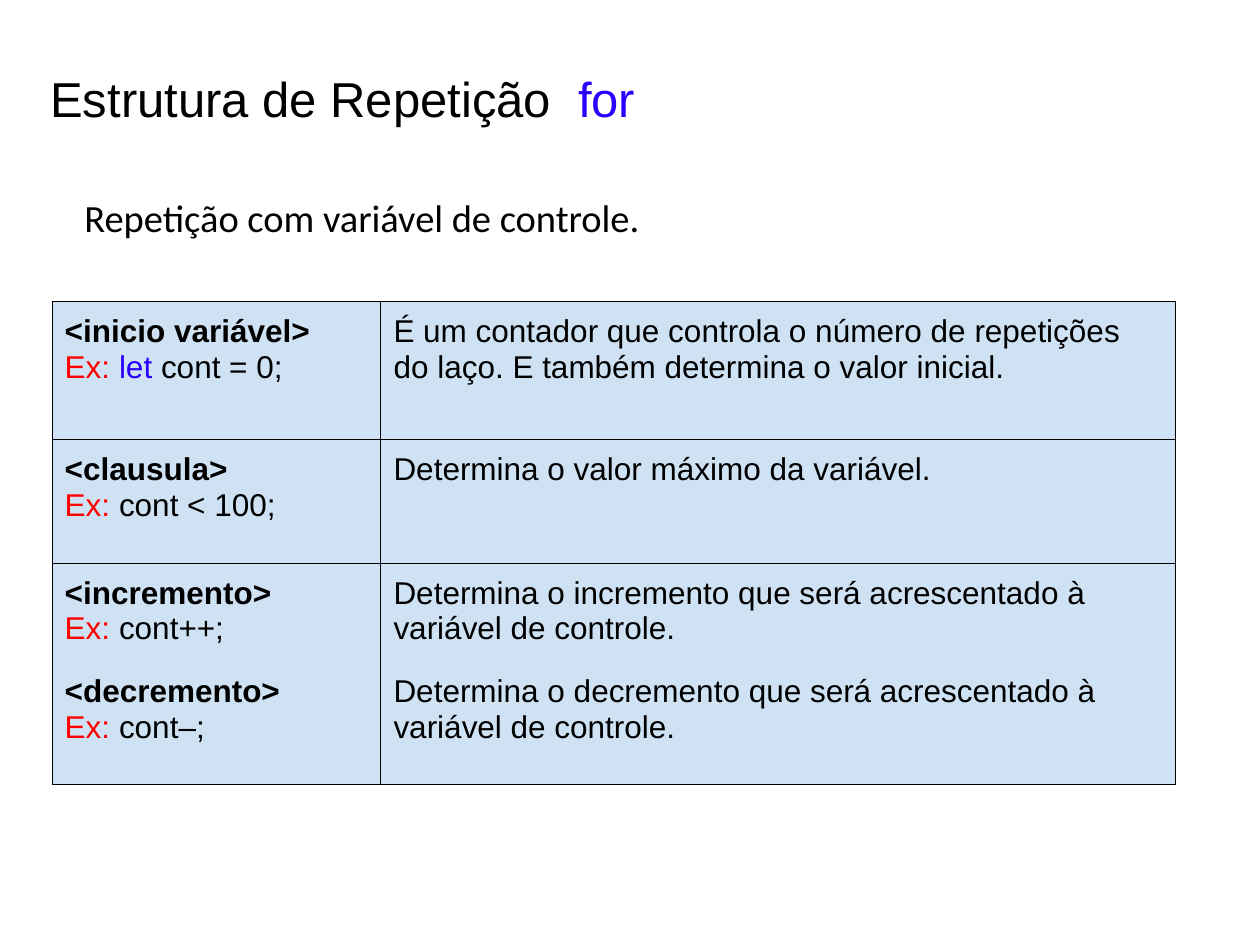
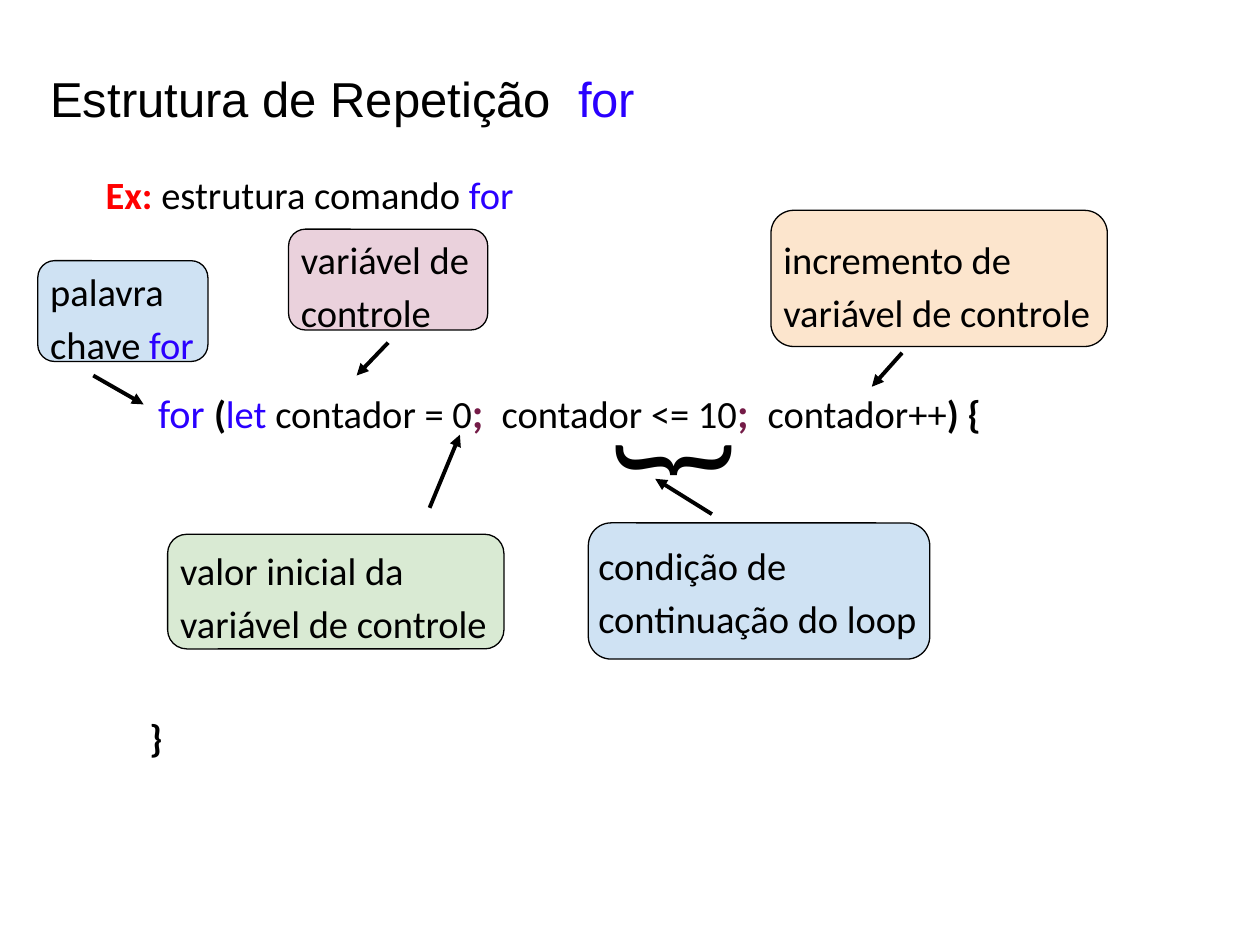
import pptx
import pptx.util
import pptx.dml.color
import pptx.enum.shapes
import pptx.enum.text
import pptx.oxml
import pptx.oxml.ns
from dataclasses import dataclass
from lxml import etree

Pt = pptx.util.Pt
qn = pptx.oxml.ns.qn


@dataclass(frozen=True)
class Theme:
    black: str = "000000"
    keyword: str = "2A00FF"
    example: str = "FF0000"
    separator: str = "741B47"
    blue: str = "CFE2F3"
    green: str = "D9EAD3"
    orange: str = "FCE5CD"
    pink: str = "EAD1DC"
    title_font: str = "Arial"
    body_font: str = "Calibri"
    title_size: float = 28
    body_size: float = 22
    cell_size: float = 18
    brace_size: float = 77
    spacing: float = 1.15
    thin: float = 0.75
    thick: float = 2.25


T = Theme()


def rgb(value):
    return pptx.dml.color.RGBColor.from_string(value)


# Text helpers: a run is (text, colour, bold, size), the last three optional
def add_run(p, font, base_size, text, color=T.black, bold=False, size=None):
    r = p.add_run()
    r.text = text
    r.font.name = font
    r.font.size = Pt(size or base_size)
    r.font.bold = bold
    r.font.color.rgb = rgb(color)


def fill_text(tf, paragraphs, font, size, spacing=1.0):
    for i, runs in enumerate(paragraphs):
        p = tf.paragraphs[0] if i == 0 else tf.add_paragraph()
        p.line_spacing = spacing
        for run in runs:
            add_run(p, font, size, *run)


def set_insets(tf, across, down):
    tf.margin_left = tf.margin_right = Pt(across)
    tf.margin_top = tf.margin_bottom = Pt(down)


def add_text(s, box, paragraphs, size=T.body_size, inset=7.2, grow=False):
    sp = s.shapes.add_textbox(*map(Pt, box))
    tf = sp.text_frame
    tf.word_wrap = True
    set_insets(tf, 7.2, inset)
    if grow:
        tf.auto_size = pptx.enum.text.MSO_AUTO_SIZE.SHAPE_TO_FIT_TEXT
    fill_text(tf, paragraphs, T.body_font, size, T.spacing)
    return sp


# Shared slide with its title
def add_titled_slide(prs):
    s = prs.slides.add_slide(prs.slide_layouts[5])
    sp = s.shapes.title
    sp.left, sp.top, sp.width, sp.height = map(Pt, (21.6, 13, 636.5, 86.4))
    tf = sp.text_frame
    tf.auto_size = pptx.enum.text.MSO_AUTO_SIZE.NONE
    tf.vertical_anchor = pptx.enum.text.MSO_ANCHOR.MIDDLE
    set_insets(tf, 7.2, 3.6)
    fill_text(tf, [[("Estrutura de Repetição  ",), ("for", T.keyword)]],
              T.title_font, T.title_size)
    tf.paragraphs[0].alignment = pptx.enum.text.PP_ALIGN.LEFT
    return s


# Table of the parts of the command
def border_cell(cell):
    props = cell._tc.get_or_add_tcPr()
    for i, side in enumerate(("lnL", "lnR", "lnT", "lnB")):
        ln = etree.Element(qn("a:" + side), w=str(Pt(T.thin)))
        solid = etree.SubElement(ln, qn("a:solidFill"))
        etree.SubElement(solid, qn("a:srgbClr"), val=T.black)
        props.insert(i, ln)


def add_parts_table(s, box, column_widths, row_heights, rows):
    frame = s.shapes.add_table(len(rows), len(column_widths), *map(Pt, box))
    table = frame.table
    table.first_row = table.horz_banding = False
    for column, width in zip(table.columns, column_widths):
        column.width = Pt(width)
    for row, height, contents in zip(table.rows, row_heights, rows):
        row.height = Pt(height)
        for cell, groups in zip(row.cells, contents):
            cell.fill.solid()
            cell.fill.fore_color.rgb = rgb(T.blue)
            set_insets(cell, 7.2, 7.2)
            border_cell(cell)
            tf = cell.text_frame
            fill_text(tf, [p for group in groups for p in group],
                      T.title_font, T.cell_size)
            # A gap opens each group after the first
            start = 0
            for group in groups[:-1]:
                start += len(group)
                tf.paragraphs[start].space_before = Pt(16)


def part(name, *example):
    return [[(name, T.black, True)], [("Ex: ", T.example), *example]]


def build_parts_slide(prs):
    s = add_titled_slide(prs)
    add_text(s, (41.2, 103.4, 648, 34.6),
             [[("Repetição com variável de controle.",)]], inset=3.6)
    widths, heights = (187.9, 454.3), (78.8, 70.6, 126.4)
    rows = [
        ([part("<inicio variável>", ("let", T.keyword), (" cont = 0;",))],
         [[[("É um contador que controla o número de repetições do laço. "
             "E também determina o valor inicial.",)]]]),
        ([part("<clausula>", ("cont < 100;",))],
         [[[("Determina o valor máximo da variável.",)]]]),
        ([part("<incremento>", ("cont++;",)),
          part("<decremento>", ("cont–;",))],
         [[[(f"Determina o {change} que será acrescentado à "
             "variável de controle.",)]]
          for change in ("incremento", "decremento")]),
    ]
    add_parts_table(s, (29.8, 172.4, sum(widths), sum(heights)),
                    widths, heights, rows)


# Annotated example of the command
def add_code(s, box):
    sp = add_text(s, box, [
        [("Ex: ", T.example, True), ("estrutura comando ",),
         ("for", T.keyword)],
        [("for ", T.keyword, False, 23), ("(", T.black, True),
         ("let ", T.keyword), ("contador = 0",),
         ("; ", T.separator, True, 24), (" ", T.black, True),
         ("contador <= 10",), (";  ", T.separator, True, 24),
         ("contador++",), (") {", T.black, True)],
        [("}", T.black, True)],
    ], inset=3.6)
    _, code, closing = sp.text_frame.paragraphs
    for p, indent, gap in ((code, 30, 92.6), (closing, 25, 154.4)):
        p.space_before = Pt(gap)
        p._p.get_or_add_pPr().set("marL", str(Pt(indent)))


def add_callout(s, box, color, label_offset, label_width, paragraphs):
    sp = s.shapes.add_shape(
        pptx.enum.shapes.MSO_SHAPE.ROUNDED_RECTANGLE, *map(Pt, box))
    sp.shadow.inherit = False
    sp.fill.solid()
    sp.fill.fore_color.rgb = rgb(color)
    sp.line.color.rgb = rgb(T.black)
    sp.line.width = Pt(T.thin)
    dx, dy = label_offset
    add_text(s, (box[0] + dx, box[1] + dy, label_width, 72),
             paragraphs, grow=True)


def add_arrow(s, *ends):
    line = s.shapes.add_connector(
        pptx.enum.shapes.MSO_CONNECTOR.STRAIGHT, *map(Pt, ends))
    line.line.color.rgb = rgb(T.black)
    line.line.width = Pt(T.thick)
    etree.SubElement(line.line._get_or_add_ln(), qn("a:tailEnd"),
                     type="triangle")
    etree.SubElement(line._element.spPr, qn("a:effectLst"))


def build_example_slide(prs):
    s = add_titled_slide(prs)
    add_code(s, (53.3, 90, 621.4, 332.6))

    # Callouts: box, colour, label offset, label width, text
    callouts = [
        ((95.8, 305.3, 192.2, 65.5), T.green, (0, -3.6), 195.1,
         [[("valor inicial da",)], [("variável de controle",)]]),
        ((440.6, 120.2, 192.2, 77.8), T.orange, (0, 3.6), 195.1,
         [[("incremento de variável de controle",)]]),
        ((336.2, 298.8, 195.1, 77.8), T.blue, (-1.4, 0), 217.4,
         [[("condição de continuação do loop",)]]),
        ((164.9, 131, 113.8, 57.6), T.pink, (0, -7.2), 113.8,
         [[("variável de",)], [("controle",)]]),
        ((21.6, 149, 97.2, 57.6), T.blue, (0, -7.2), 113.8,
         [[("palavra",)], [("chave ",), ("for", T.keyword)]]),
    ]
    for callout in callouts:
        add_callout(s, *callout)

    # Brace under the loop condition
    brace = add_text(s, (334.1, 198, 59, 108), [[("{",)]],
                     T.brace_size, grow=True)
    brace.rotation = 270

    # Arrows between callouts and code
    for ends in ((53.3, 214.6, 82.1, 231.1), (221.8, 195.8, 203.8, 214.6),
                 (245.5, 290.2, 262.8, 248.4), (406.8, 293.8, 374.4, 273.6),
                 (515.5, 201.6, 498.2, 221)):
        add_arrow(s, *ends)


def main():
    prs = pptx.Presentation()
    prs.slide_width, prs.slide_height = Pt(720), Pt(540)
    build_parts_slide(prs)
    build_example_slide(prs)
    prs.save("out.pptx")


if __name__ == "__main__":
    main()
